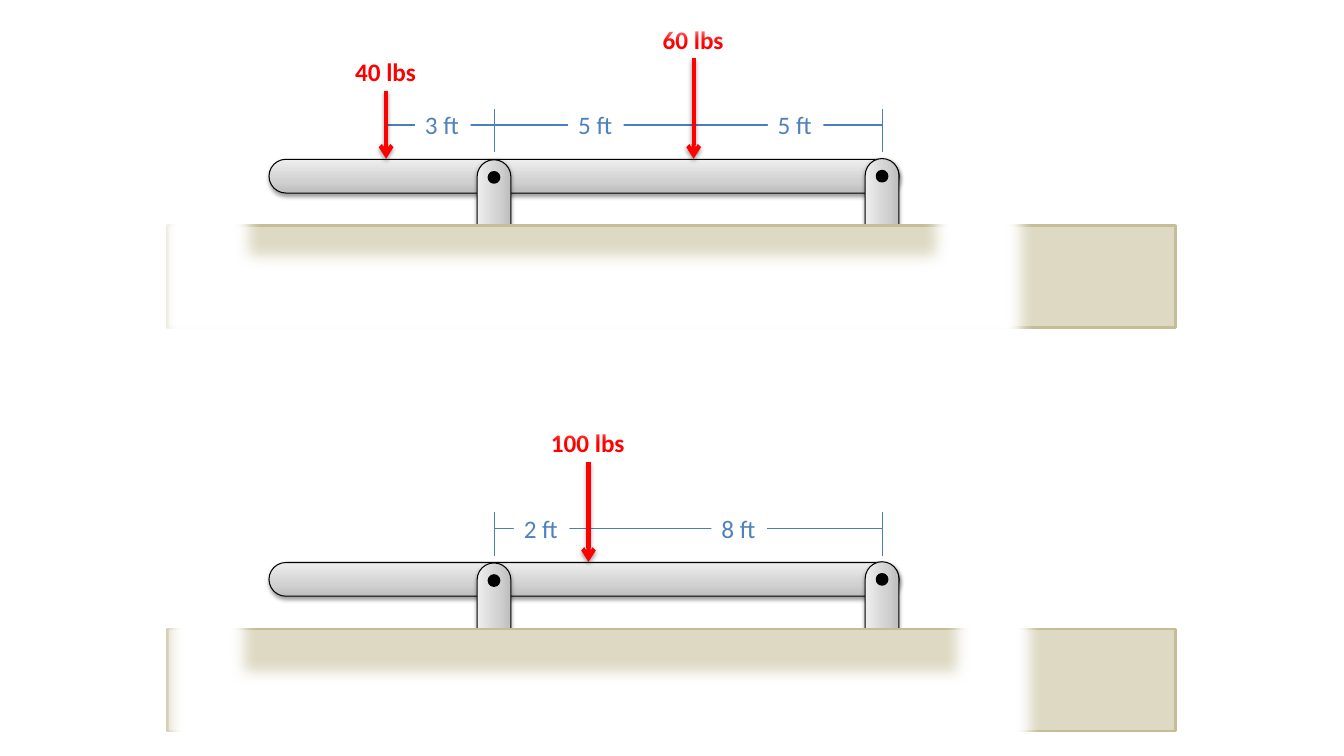
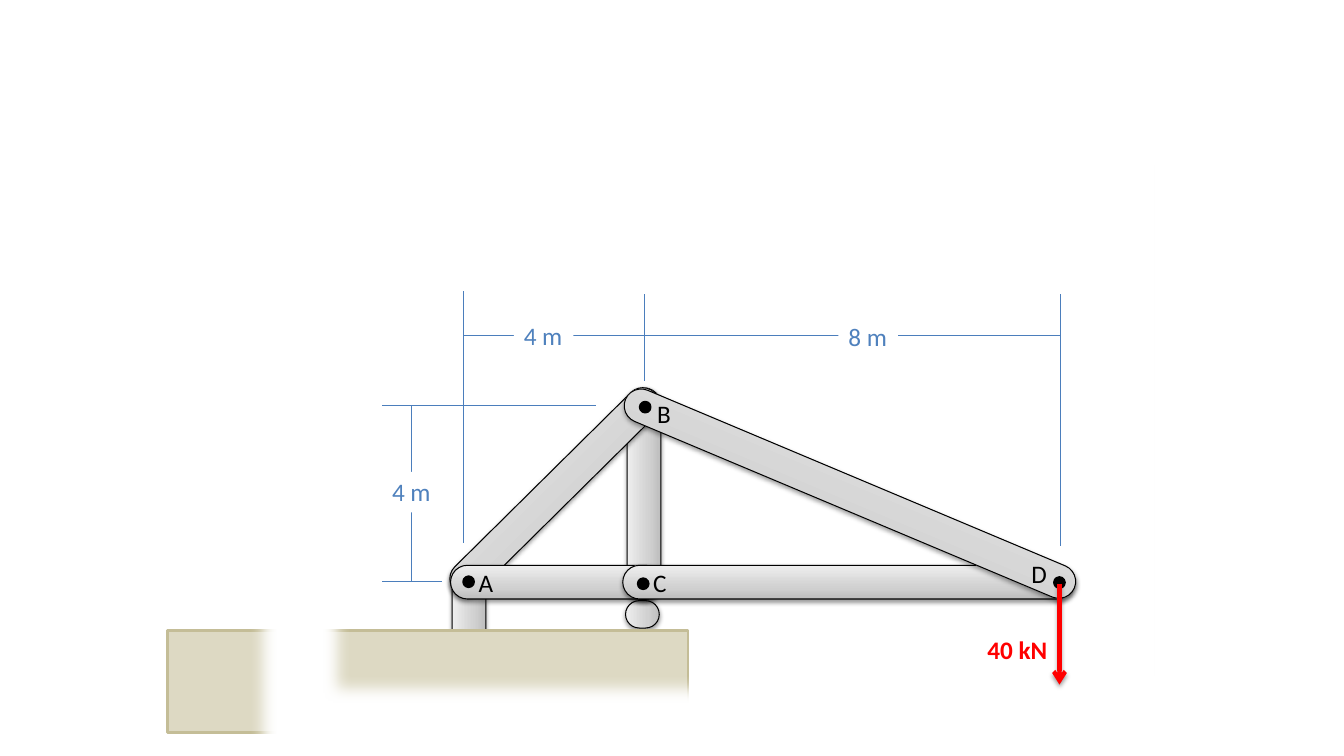
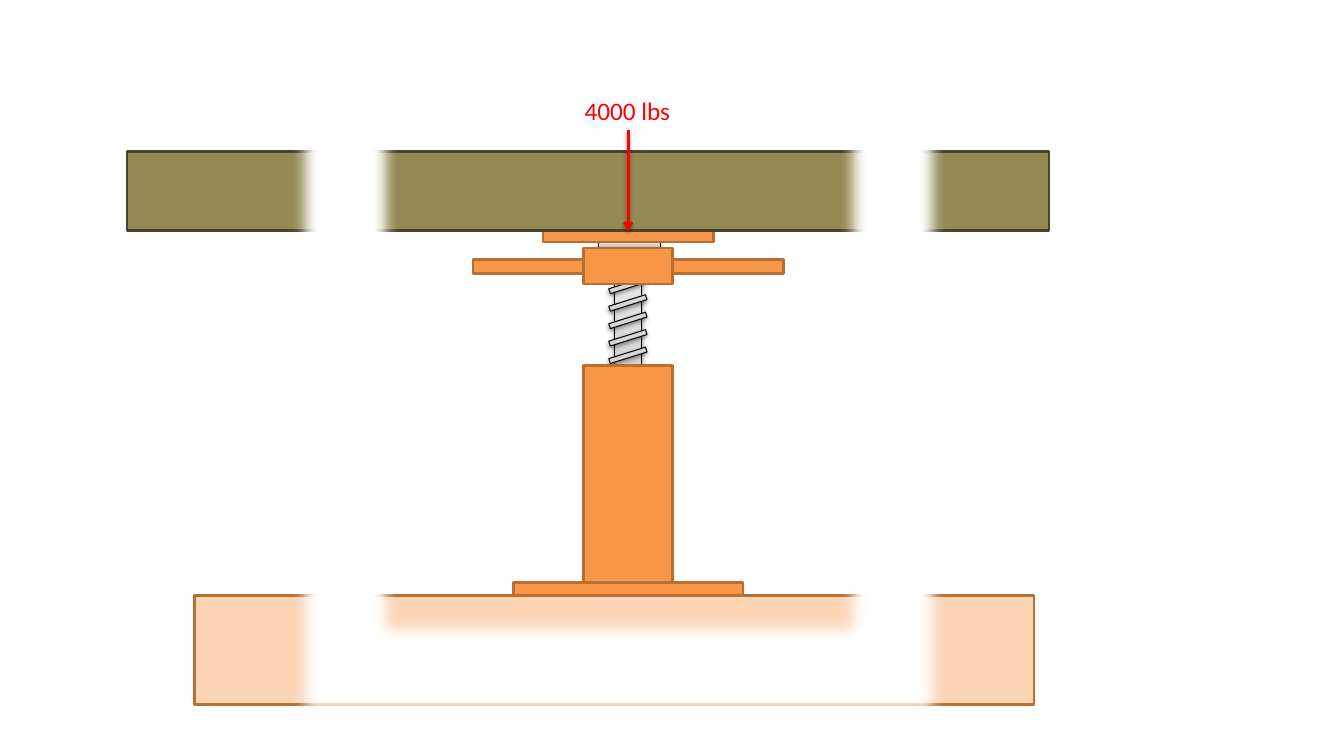
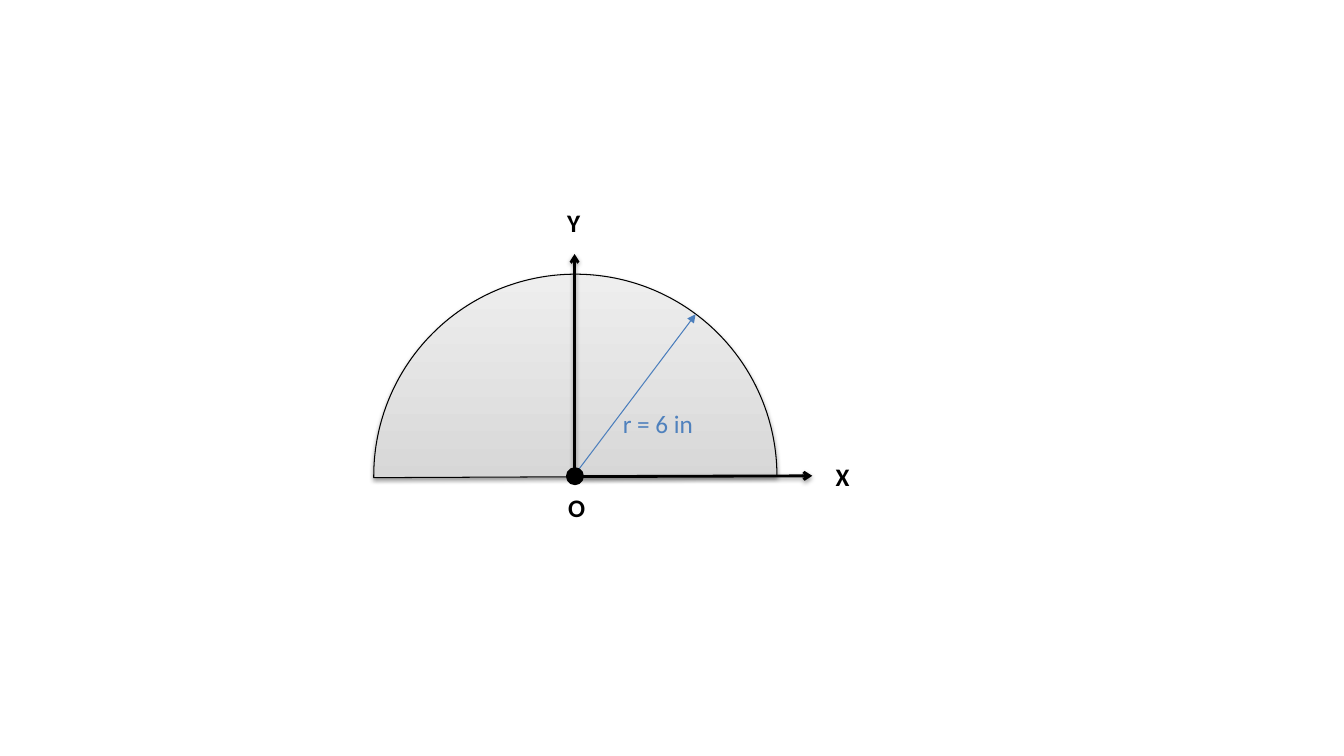
from lxml.etree import SubElement
from pptx import Presentation
from pptx.dml.color import RGBColor
from pptx.enum.shapes import MSO_CONNECTOR, MSO_SHAPE
from pptx.enum.text import MSO_AUTO_SIZE
from pptx.oxml import parse_xml
from pptx.oxml.ns import nsdecls, qn
from pptx.util import Cm, Pt

COLORS = {
    "white": "FFFFFF", "black": "000000", "force": "FF0000",
    "dim_line": "4B7EBC", "dim_text": "4F81BD",
    "ground": "DDD9C3", "ground_line": "C4BD97",
    "jack": "F79646", "jack_line": "B76F34", "floor": "FCD5B5",
    "timber": "948A54", "timber_line": "4A452A",
}
STEEL_STOPS = ((0, "BDBDBD"), (35, "D1D1D1"), (100, "EEEEEE"))
THICKNESS = 0.85  # of every truss or beam member
LABEL_HEIGHT = 1.02


class Sketch:
    """Holds the drawing style and the current slide; lengths are in cm."""

    def __init__(self, prs):
        self.prs = prs
        self.shapes = None

    def new_slide(self):
        slide = self.prs.slides.add_slide(self.prs.slide_layouts[6])
        self.shapes = slide.shapes

    # --- style helpers
    def rgb(self, name):
        return RGBColor.from_string(COLORS[name])

    def effects(self, sp, shadow=False, soft=False):
        lst = SubElement(sp._element.spPr, qn("a:effectLst"))
        if shadow:
            node = SubElement(lst, qn("a:outerShdw"), blurRad="40000", dist="20000",
                              dir="5400000", rotWithShape="0")
            color = SubElement(node, qn("a:srgbClr"), val=COLORS["black"])
            SubElement(color, qn("a:alpha"), val="38000")
        if soft:
            SubElement(lst, qn("a:softEdge"), rad="127000")

    # --- shapes
    def shape(self, kind, x, y, w, h, fill, line, adj=(), soft=False):
        sp = self.shapes.add_shape(kind, Cm(x), Cm(y), Cm(w), Cm(h))
        for i, value in enumerate(adj):
            sp.adjustments[i] = value
        sp.fill.solid()
        sp.fill.fore_color.rgb = self.rgb(fill)
        sp.line.color.rgb = self.rgb(line)
        sp.line.width = Pt(2)
        self.effects(sp, soft=soft)
        return sp

    def block(self, x, y, w, h, fill, line):
        return self.shape(MSO_SHAPE.RECTANGLE, x, y, w, h, fill, line)

    def fade(self, x, y, w, h, adj):
        """White frame with soft edges that fades the drawing out."""
        self.shape(MSO_SHAPE.FRAME, x, y, w, h, "white", "white", (adj,), soft=True)

    def pin(self, cx, cy, d=0.25):
        self.shape(MSO_SHAPE.OVAL, cx - d / 2, cy - d / 2, d, d, "black", "black")

    def steel(self, kind, x, y, w, h, angle=0, adj=()):
        sp = self.shapes.add_shape(kind, Cm(x), Cm(y), Cm(w), Cm(h))
        for i, value in enumerate(adj):
            sp.adjustments[i] = value
        sp.rotation = angle
        stops = "".join(f'<a:gs pos="{pos * 1000}"><a:srgbClr val="{color}"/></a:gs>'
                        for pos, color in STEEL_STOPS)
        sp.fill.gradient()
        spPr = sp._element.spPr
        spPr.replace(spPr.find(qn("a:gradFill")), parse_xml(
            f'<a:gradFill {nsdecls("a")} rotWithShape="1"><a:gsLst>{stops}</a:gsLst>'
            '<a:lin ang="16200000" scaled="0"/></a:gradFill>'))
        sp.line.color.rgb = self.rgb("black")
        sp.line.width = Pt(0.75)
        self.effects(sp, shadow=True)

    def member(self, cx, cy, length, angle=0):
        """Round-ended bar placed by its centre."""
        self.steel(MSO_SHAPE.ROUNDED_RECTANGLE, cx - length / 2, cy - THICKNESS / 2,
                   length, THICKNESS, angle, (0.5,))

    # --- lines
    def line(self, x1, y1, x2, y2, color="dim_line", width=0.75, head=None, shadow=False):
        c = self.shapes.add_connector(MSO_CONNECTOR.STRAIGHT, Cm(x1), Cm(y1), Cm(x2), Cm(y2))
        c.line.color.rgb = self.rgb(color)
        c.line.width = Pt(width)
        if head:
            SubElement(c.line._get_or_add_ln(), qn("a:tailEnd"), type=head)
        self.effects(c, shadow=shadow)
        return c

    def arrow(self, x1, y1, x2, y2, color="force", width=3):
        return self.line(x1, y1, x2, y2, color, width, "arrow", True)

    # --- text
    def label(self, cx, cy, w, text, color="black", bold=False, fill=None):
        """One-line text placed by its centre."""
        sp = self.shapes.add_textbox(Cm(cx - w / 2), Cm(cy - LABEL_HEIGHT / 2),
                                     Cm(w), Cm(LABEL_HEIGHT))
        if fill:
            sp.fill.solid()
            sp.fill.fore_color.rgb = self.rgb(fill)
        tf = sp.text_frame
        tf.word_wrap = False
        tf.auto_size = MSO_AUTO_SIZE.SHAPE_TO_FIT_TEXT
        r = tf.paragraphs[0].add_run()
        r.text = text
        r.font.name = "Calibri"
        r.font.size = Pt(18)
        r.font.bold = bold
        r.font.color.rgb = self.rgb(color)

    def dim_label(self, cx, cy, w, text):
        self.label(cx, cy, w, text, "dim_text", fill="white")

    def load(self, x, y1, y2, w, text, bold=True, width=3):
        """Downward force with its value above it."""
        self.label(x, y1 - 0.48, w, text, "force", bold)
        return self.arrow(x, y1, x, y2, width=width)


def beam_case(s, top, dim_start, loads, dims):
    """Overhanging beam on two posts, with loads and spans."""
    s.line(dim_start, top + 3.15, 22.23, top + 3.15)
    s.member(14.72, top + 4.44, 15.88)
    for x, y in ((22.23, 4.44), (12.45, 4.47)):
        s.member(x, top + y + 0.76, 2.41, 270)
        s.pin(x, top + y)
    s.block(4.23, top + 5.69, 25.4, 2.57, "ground", "ground_line")
    for x, start, w, text in loads:
        s.load(x, top + start, top + 4, w, text)
    for x in (12.47, 22.23):
        s.line(x, top + 2.74, x, top + 3.84)
    for x, text in dims:
        s.dim_label(x, top + 3.15, 1.4, text)


def beam_slide(s):
    s.new_slide()
    beam_case(s, 0, 9.73, ((9.73, 2.29, 2.06, "40 lbs"), (17.48, 1.47, 2.06, "60 lbs")),
              ((15.02, "5 ft"), (11.16, "3 ft"), (20.05, "5 ft")))
    beam_case(s, 10.16, 12.47, ((14.83, 1.47, 2.39, "100 lbs"),),
              ((13.65, "2 ft"), (18.63, "8 ft")))
    s.fade(3.81, -1.7, 22.23, 10.59, 0.262)
    s.fade(4.01, 8.69, 22.23, 10.36, 0.236)


def truss_slide(s):
    s.new_slide()
    # Supports and horizontal spans
    s.line(11.68, 8.46, 26.72, 8.46)
    s.member(16.19, 15.48, 0.69, 270)
    s.member(11.82, 15.44, 2.41, 270)
    s.block(4.23, 15.88, 13.11, 2.57, "ground", "ground_line")
    s.label(25.65, 16.36, 2.03, "40 kN", "force", True)
    for x, y1, y2 in ((11.68, 7.34, 13.69), (26.72, 7.42, 13.77)):
        s.line(x, y1, x, y2)
    s.dim_label(13.7, 8.46, 1.5, "4 m")
    s.dim_label(21.88, 8.48, 1.5, "8 m")
    s.fade(6.35, 1.7, 25.2, 17.78, 0.137)
    # Members BC, AB, AC, CD, BD and their pins
    for cx, cy, length, angle in ((16.23, 12.44, 5.33, 270), (13.98, 12.39, 7.09, 315.3),
                                  (14.02, 14.67, 5.33, 0), (21.37, 14.67, 11.35, 0),
                                  (21.42, 12.44, 12.27, 22.8)):
        s.member(cx, cy, length, angle)
    for cx, cy in ((26.7, 14.68), (16.21, 14.71), (16.26, 10.26), (11.81, 14.66)):
        s.pin(cx, cy)
    s.arrow(26.7, 14.71, 26.7, 17.25)
    # Height and remaining extension lines
    for ends in ((16.23, 7.42, 16.23, 9.6), (9.63, 14.66, 11.15, 14.66),
                 (9.63, 10.21, 15.01, 10.21), (10.38, 10.21, 10.38, 14.63)):
        s.line(*ends)
    s.dim_label(10.38, 12.4, 1.5, "4 m")
    for cx, cy, text in ((12.26, 14.68, "A"), (16.66, 14.68, "C"),
                         (16.76, 10.41, "B"), (26.19, 14.45, "D")):
        s.label(cx, cy, 0.9, text)


def jack_slide(s):
    s.new_slide()
    axis = 15.83
    # Threaded rod
    slide_shapes = s.shapes
    s.shapes = slide_shapes.add_group_shape().shapes
    s.steel(MSO_SHAPE.RECTANGLE, axis - 0.34, 6.17, 0.69, 5.56)
    for i in range(13):
        s.steel(MSO_SHAPE.RECTANGLE, axis - 0.49, 6.25 + 0.44 * i, 0.97, 0.13, 342.6)
    s.shapes = slide_shapes
    s.steel(MSO_SHAPE.RECTANGLE, axis - 0.74, 6.1, 1.55, 0.13)
    # Base, column, nut, plate, then the two handles
    for y, w, h in ((14.68, 5.79, 0.33), (9.22, 2.24, 5.46),
                    (6.25, 2.24, 0.91), (5.82, 4.29, 0.28)):
        plate = s.block(axis - w / 2, y, w, h, "jack", "jack_line")
    for x in (axis + 1.12, axis - 1.12 - 2.79):
        s.block(x, 6.54, 2.79, 0.36, "jack", "jack_line")
    # Floor and lifted timber
    s.block(4.9, 15.01, 21.16, 2.74, "floor", "jack_line")
    s.block(3.2, 3.81, 23.24, 2.01, "timber", "timber_line")
    s.fade(7.42, 0.97, 16.38, 17.17, 0.158)
    s.load(axis, 3.28, 5.82, 2.69, "4000 lbs", False, 2).end_connect(plate, 0)


def half_disc_slide(s):
    s.new_slide()
    s.steel(MSO_SHAPE.CHORD, 9.42, 6.91, 10.16, 10.16, adj=(107.68, 0.02))
    # Axes
    s.arrow(14.45, 12.01, 20.47, 11.99, "black", 2)
    s.arrow(14.48, 12.01, 14.48, 6.4, "black", 2)
    for cx, cy, text in ((21.26, 12.01, "X"), (14.49, 5.61, "Y"), (14.52, 12.78, "O")):
        s.label(cx, cy, 0.9, text, bold=True)
    # Radius
    s.line(14.5, 11.94, 17.53, 7.92, head="triangle")
    s.pin(14.49, 12, 0.38)
    s.label(16.6, 10.67, 2.31, "r = 6 in", "dim_text")


def main():
    prs = Presentation()
    prs.slide_width, prs.slide_height = Cm(33.87), Cm(19.05)
    s = Sketch(prs)
    for build in (beam_slide, truss_slide, jack_slide, half_disc_slide):
        build(s)
    prs.save("out.pptx")


if __name__ == "__main__":
    main()
